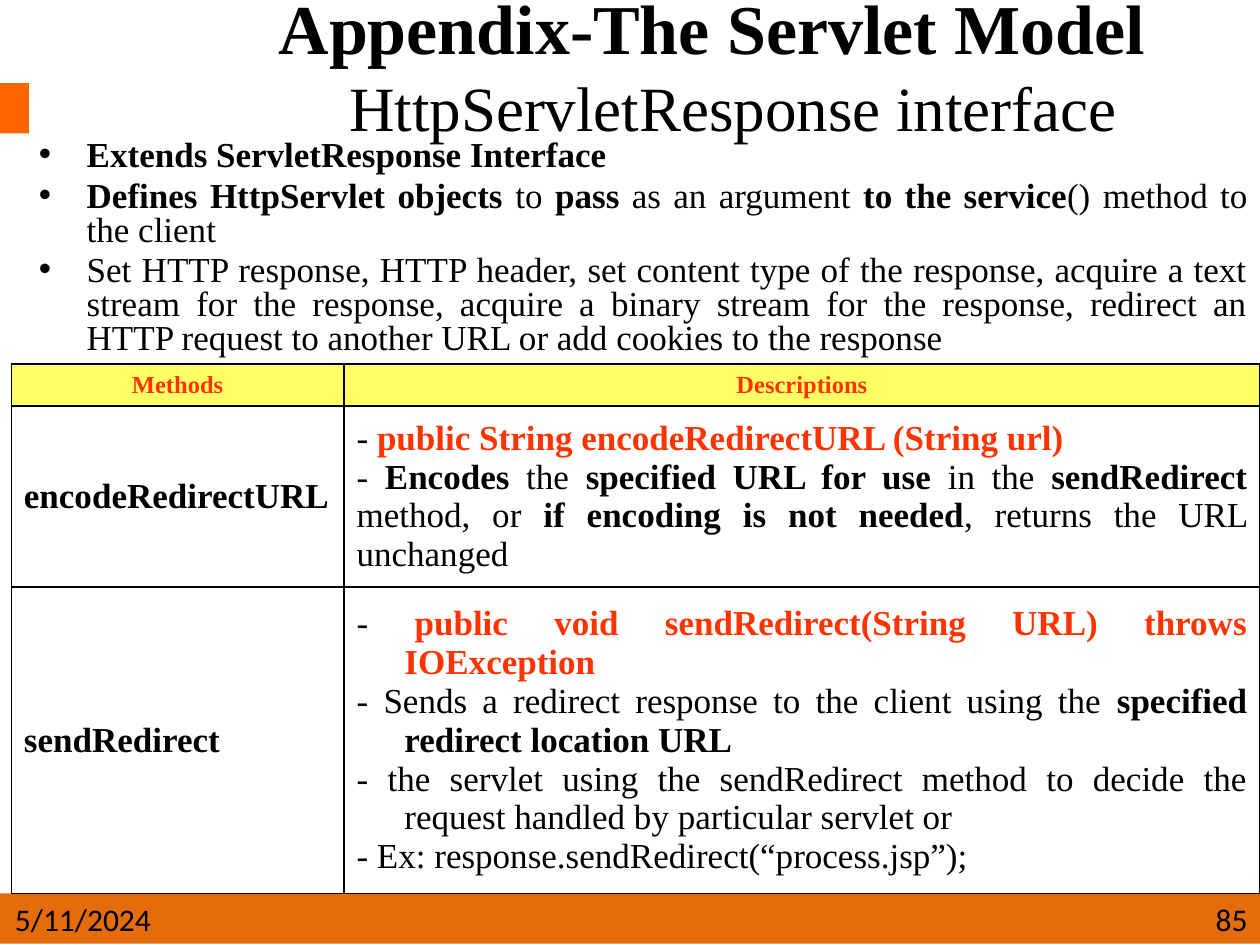
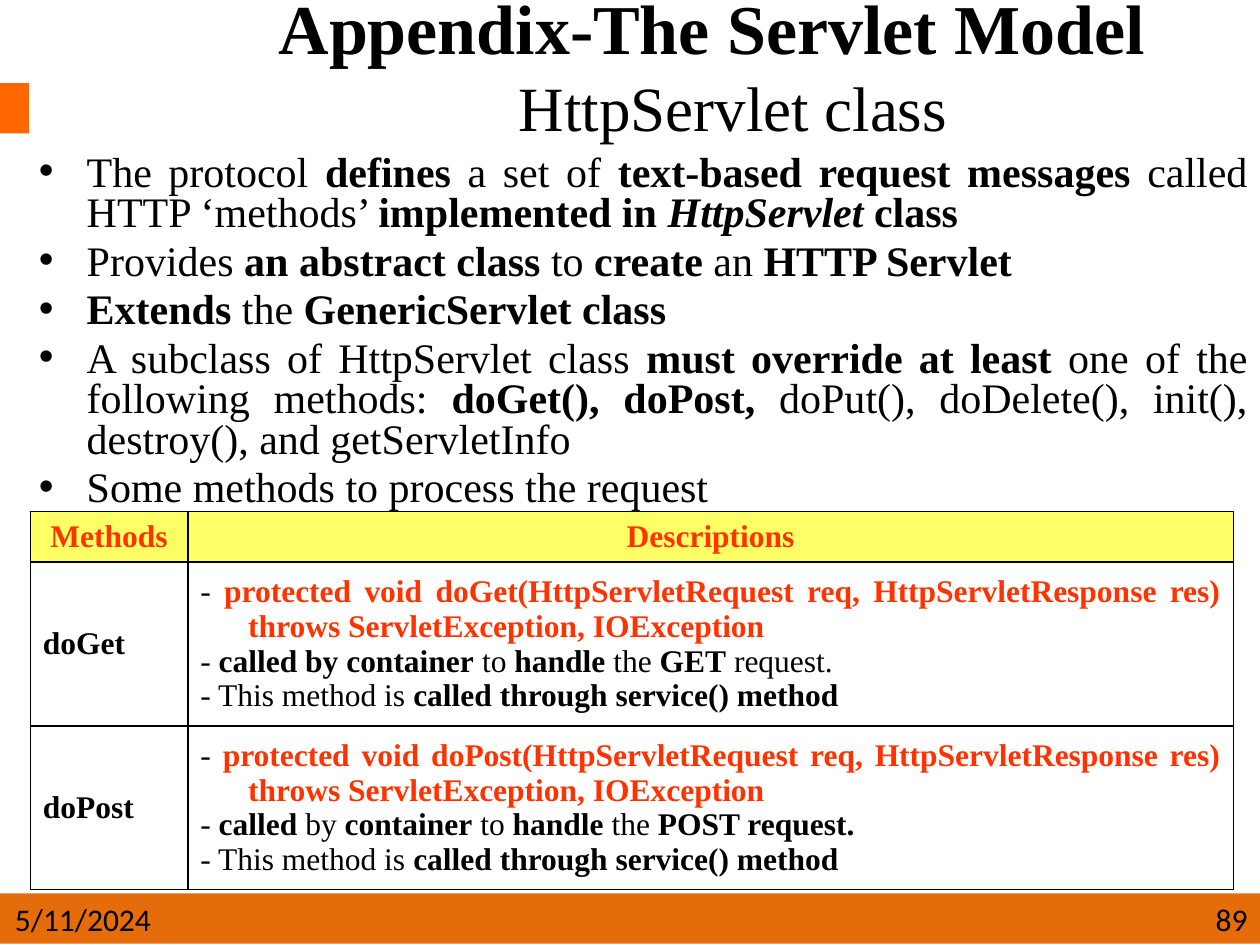
"""Build two servlet reference slides with bullets and method tables."""
from dataclasses import dataclass
from typing import Any

from lxml import etree
from pptx import Presentation
from pptx import util as u
from pptx.dml.color import RGBColor
from pptx.enum import shapes, text
from pptx.oxml import ns

Inches, Pt = u.Inches, u.Pt
Align, Anchor = text.PP_ALIGN, text.MSO_ANCHOR


@dataclass(frozen=True)
class Theme:
    serif: str = "Times New Roman"
    sans: str = "Calibri"
    ink: str = "000000"
    accent: str = "FF3300"
    header: str = "FFFF66"
    band: str = "E46C0A"
    tab: str = "FF6600"
    title: int = 40
    title_gap: int = 44
    subtitle_gap: int = 54
    subtitle: int = 36
    footer: int = 18
    hang: float = 0.38
    border: float = 1


@dataclass(frozen=True)
class Box:
    left: float
    top: float
    width: float
    height: float

    def lengths(self) -> tuple[u.Length, ...]:
        return tuple(Inches(side) for side in (self.left, self.top, self.width, self.height))


@dataclass(frozen=True)
class Bar:
    box: Box
    color: str


@dataclass(frozen=True)
class Method:
    name: str
    lines: tuple[str, ...]
    height: float
    hanging: bool = True


@dataclass(frozen=True)
class MethodTable:
    left: float
    top: float
    columns: tuple[float, float]
    header_height: float
    header_size: int
    text_size: int
    methods: tuple[Method, ...]


@dataclass(frozen=True)
class Page:
    number: int
    subtitle: str
    body: Box
    body_size: int
    bullets: tuple[str, ...]
    table: MethodTable


THEME = Theme()
BARS = (Bar(Box(0, 7.09, 10, 0.4), THEME.band), Bar(Box(0, 0.66, 0.23, 0.4), THEME.tab))
TITLE_BOX = Box(1.45, 0.08, 8.55, 1.03)
DATE_BOX = Box(0.02, 7.09, 1.52, 0.4)
NUMBER_BOX = Box(7, 7.09, 3, 0.4)
TITLE = "Appendix-The Servlet Model"
DATE = "5/11/2024"
HEADINGS = ("Methods", "Descriptions")
THROWS = "throws ServletException, IOException"
ARGUMENTS = "(HttpServletRequest req, HttpServletResponse res)"
THROUGH_SERVICE = "- This method is *called through service() method*"

PAGES = (
    Page(
        85, "HttpServletResponse interface", Box(0.21, 1.07, 9.79, 2.16), 20,
        (
            "*Extends ServletResponse Interface*",
            "*Defines HttpServlet objects *to *pass* as an argument *to the service*() method to the client",
            "Set HTTP response, HTTP header, set content type of the response, acquire a text stream "
            "for the response, acquire a binary stream for the response, redirect an HTTP request to "
            "another URL or add cookies to the response",
        ),
        MethodTable(0.09, 2.89, (2.64, 7.27), 0.33, 14, 20, (
            Method("encodeRedirectURL", (
                "- ^public String encodeRedirectURL (String url)^",
                "- *Encodes* the *specified URL for use* in the *sendRedirect* method, or "
                "*if encoding is not needed*, returns the URL unchanged",
            ), 1.43, hanging=False),
            Method("sendRedirect", (
                "- ^public void sendRedirect(String URL) throws IOException^",
                "- Sends a redirect response to the client using the *specified redirect location URL*",
                "- the servlet using the sendRedirect method to decide the request handled by "
                "particular servlet or",
                "- Ex: response.sendRedirect(“process.jsp”);",
            ), 2.43),
        )),
    ),
    Page(
        89, "HttpServlet class", Box(0.21, 1.18, 9.79, 3.07), 24,
        (
            "The protocol *defines* a set of *text-based request messages* called HTTP ‘methods’ "
            "*implemented in _HttpServlet_ class*",
            "Provides *an abstract class *to *create* an *HTTP Servlet*",
            "*Extends* the *GenericServlet class*",
            "A subclass of HttpServlet class *must override at least *one of the following methods: "
            "*doGet(), doPost, *doPut(), doDelete(), init(), destroy(), and getServletInfo",
            "Some methods to process the request",
        ),
        MethodTable(0.24, 4.06, (1.25, 8.3), 0.38, 18, 18, (
            Method("doGet", (
                f"- ^protected void doGet{ARGUMENTS} {THROWS}^",
                "- *called by container* to *handle* the *GET* request.",
                THROUGH_SERVICE,
            ), 1.25),
            Method("doPost", (
                f"- ^protected void doPost{ARGUMENTS} {THROWS}^",
                "- *called* by *container* to *handle* the *POST request.*",
                THROUGH_SERVICE,
            ), 1.23),
        )),
    ),
)


def set_attributes(target: Any, values: dict[str, Any]) -> None:
    for name, value in values.items():
        setattr(target, name, value)


def add_run(paragraph: Any, words: str, size: float, color: str = THEME.ink,
            font: str = THEME.serif, bold: bool = False, italic: bool = False) -> None:
    run = paragraph.add_run()
    run.text = words
    set_attributes(run.font, {"name": font, "size": Pt(size), "bold": bold, "italic": italic})
    run.font.color.rgb = RGBColor.from_string(color)


def add_marked(paragraph: Any, marked: str, size: float) -> None:
    """Write text in which * toggles bold, ^ bold accent and _ italic."""
    active = dict.fromkeys("*^_", False)
    words = ""
    for letter in marked + "*":
        if letter not in active:
            words += letter
            continue
        if words:
            color = THEME.accent if active["^"] else THEME.ink
            add_run(paragraph, words, size, color, bold=active["*"] or active["^"], italic=active["_"])
        words = ""
        active[letter] = not active[letter]


def hang(paragraph: Any) -> None:
    properties = paragraph._p.get_or_add_pPr()
    properties.set("marL", str(Inches(THEME.hang)))
    properties.set("indent", str(-Inches(THEME.hang)))


def add_bullet(paragraph: Any) -> None:
    hang(paragraph)
    properties = paragraph._p.get_or_add_pPr()
    etree.SubElement(properties, ns.qn("a:buFont"), typeface="Arial")
    etree.SubElement(properties, ns.qn("a:buChar"), char="•")


def paragraphs(frame: Any, count: int) -> list[Any]:
    return [frame.paragraphs[0]] + [frame.add_paragraph() for _ in range(count - 1)]


def add_text_frame(slide: Any, box: Box, anchor: Any = Anchor.TOP) -> Any:
    frame = slide.shapes.add_textbox(*box.lengths()).text_frame
    set_attributes(frame, {"word_wrap": True, "vertical_anchor": anchor})
    return frame


def add_bar(slide: Any, bar: Bar) -> None:
    shape = slide.shapes.add_shape(shapes.MSO_SHAPE.RECTANGLE, *bar.box.lengths())
    shape.shadow.inherit = False
    shape.fill.solid()
    shape.fill.fore_color.rgb = RGBColor.from_string(bar.color)
    shape.line.fill.background()


def add_title(slide: Any, subtitle: str) -> None:
    paragraph = add_text_frame(slide, TITLE_BOX, Anchor.MIDDLE).paragraphs[0]
    set_attributes(paragraph, {"alignment": Align.CENTER, "line_spacing": 0.7})
    add_run(paragraph, TITLE, THEME.title, bold=True)
    add_run(paragraph, " ", THEME.title_gap)
    paragraph.add_line_break()
    add_run(paragraph, " ", THEME.subtitle_gap, bold=True)
    add_run(paragraph, subtitle, THEME.subtitle)


def add_body(slide: Any, page: Page) -> None:
    frame = add_text_frame(slide, page.body)
    for paragraph, bullet in zip(paragraphs(frame, len(page.bullets)), page.bullets):
        set_attributes(paragraph, {"alignment": Align.JUSTIFY, "line_spacing": 0.8,
                                   "space_before": Pt(page.body_size * 0.2)})
        add_bullet(paragraph)
        add_marked(paragraph, bullet, page.body_size)


def add_borders(cell: Any) -> None:
    properties = cell._tc.get_or_add_tcPr()
    for side in ("lnL", "lnR", "lnT", "lnB"):
        line = etree.SubElement(properties, ns.qn(f"a:{side}"), w=str(Pt(THEME.border)))
        fill = etree.SubElement(line, ns.qn("a:solidFill"))
        etree.SubElement(fill, ns.qn("a:srgbClr"), val=THEME.ink)


def fill_cell(cell: Any, lines: tuple[str, ...], size: int, alignment: Any,
              hanging: bool = False, fill: str | None = None) -> None:
    add_borders(cell)
    cell.vertical_anchor = Anchor.MIDDLE
    if fill:
        cell.fill.solid()
        cell.fill.fore_color.rgb = RGBColor.from_string(fill)
    else:
        cell.fill.background()
    for paragraph, line in zip(paragraphs(cell.text_frame, len(lines)), lines):
        paragraph.alignment = alignment
        if hanging:
            hang(paragraph)
        add_marked(paragraph, line, size)


def add_method_table(slide: Any, content: MethodTable) -> None:
    heights = [content.header_height, *(method.height for method in content.methods)]
    box = Box(content.left, content.top, sum(content.columns), sum(heights))
    table = slide.shapes.add_table(len(heights), len(content.columns), *box.lengths()).table
    set_attributes(table, {"first_row": False, "horz_banding": False})
    for column, width in zip(table.columns, content.columns):
        column.width = Inches(width)
    for row, height in zip(table.rows, heights):
        row.height = Inches(height)
    for index, heading in enumerate(HEADINGS):
        fill_cell(table.cell(0, index), (f"^{heading}^",), content.header_size,
                  Align.CENTER, fill=THEME.header)
    for index, method in enumerate(content.methods, 1):
        fill_cell(table.cell(index, 0), (f"*{method.name}*",), content.text_size, Align.LEFT)
        fill_cell(table.cell(index, 1), method.lines, content.text_size,
                  Align.JUSTIFY, method.hanging)


def add_footer(slide: Any, box: Box, words: str, alignment: Any) -> None:
    paragraph = add_text_frame(slide, box).paragraphs[0]
    paragraph.alignment = alignment
    add_run(paragraph, words, THEME.footer, font=THEME.sans)


def add_page(presentation: Any, page: Page) -> None:
    slide = presentation.slides.add_slide(presentation.slide_layouts[6])
    for bar in BARS:
        add_bar(slide, bar)
    add_title(slide, page.subtitle)
    add_body(slide, page)
    add_method_table(slide, page.table)
    add_footer(slide, DATE_BOX, DATE, Align.LEFT)
    add_footer(slide, NUMBER_BOX, str(page.number), Align.RIGHT)


def main() -> None:
    presentation = Presentation()
    set_attributes(presentation, {"slide_width": Inches(10), "slide_height": Inches(7.5)})
    for page in PAGES:
        add_page(presentation, page)
    presentation.save("out.pptx")


if __name__ == "__main__":
    main()
